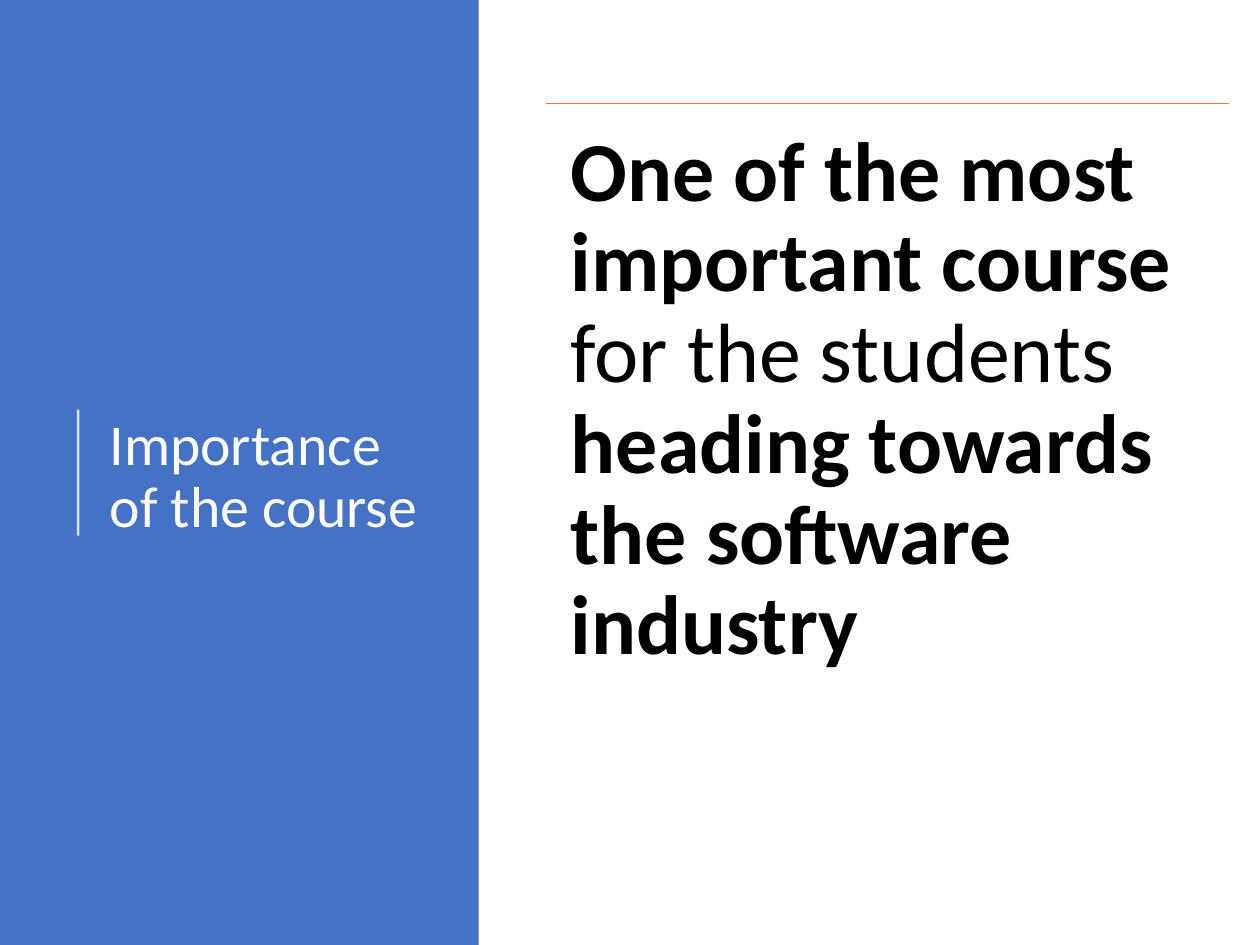
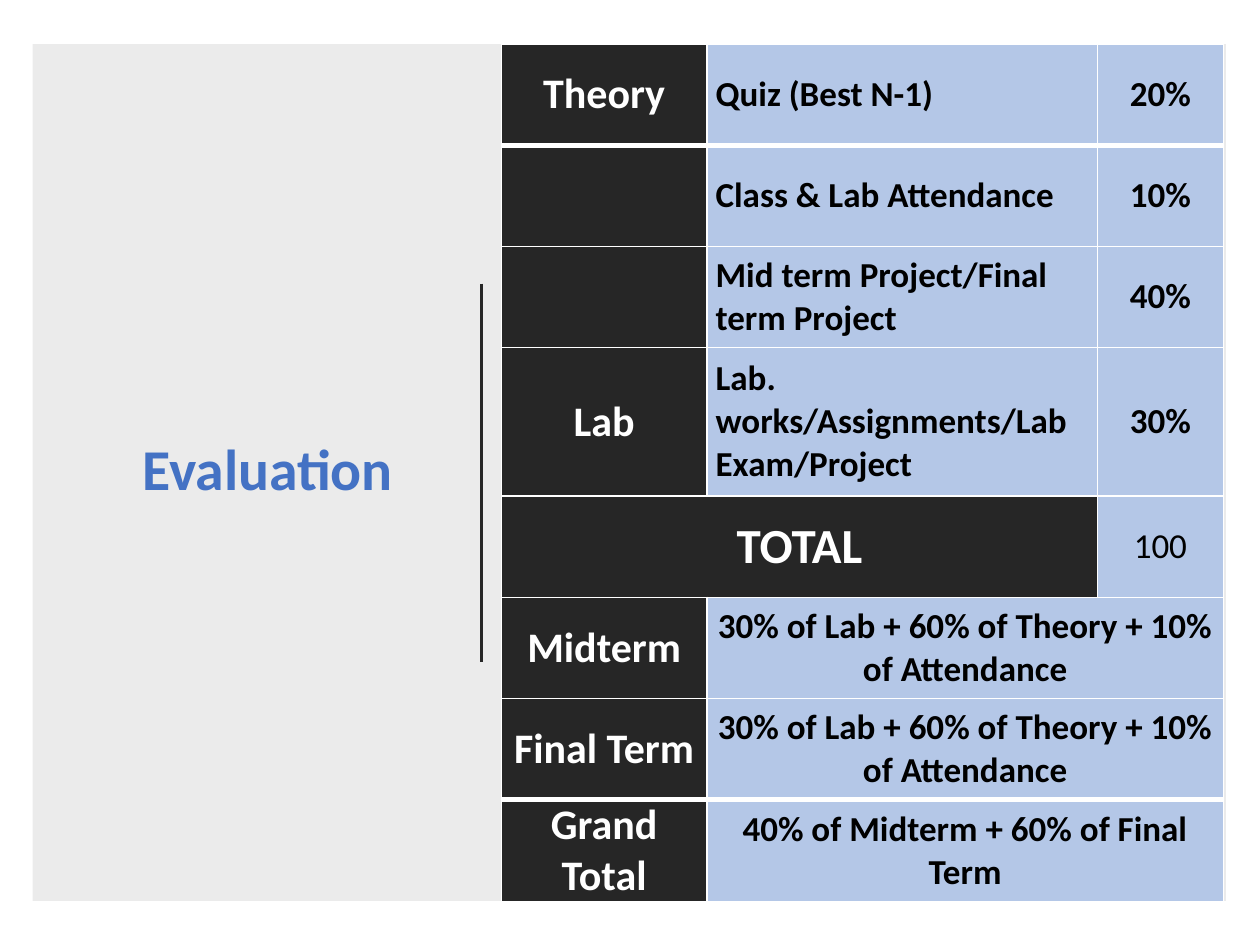
from dataclasses import dataclass
from typing import NamedTuple

from lxml.etree import SubElement
from pptx import Presentation
from pptx.dml.color import RGBColor
from pptx.enum.shapes import MSO_CONNECTOR, MSO_SHAPE
from pptx.enum.text import MSO_ANCHOR as Anchor, MSO_AUTO_SIZE as AutoSize, PP_ALIGN as Align
from pptx.oxml import parse_xml
from pptx.oxml.ns import nsdecls, qn
from pptx.util import Inches, Pt

FONT = "Calibri"
WHITE, BLACK, BLUE, ORANGE = "FFFFFF", "000000", "4472C4", "ED7D31"
CHARCOAL, PALE_BLUE = "262626", "B4C7E7"
WIDTH, HEIGHT = Inches(10), Inches(7.5)
COLUMN, ROW = WIDTH / 100, HEIGHT / 75
LINE_SPACING = 0.9


class Frame(NamedTuple):
    """A rectangle in grid columns and rows."""
    left: float
    top: float
    width: float
    height: float

    def lengths(self) -> list[int]:
        return [round(value * unit) for value, unit in zip(self, (COLUMN, ROW) * 2)]


@dataclass
class Style:
    size: float
    colour: str = BLACK
    bold: bool = False
    align: Align = Align.LEFT


@dataclass
class Rule:
    start: tuple[float, float]
    end: tuple[float, float]
    colour: str
    weight: float
    opacity: int = 100


class Entry(NamedTuple):
    """A table cell's text and style, and how many columns it covers."""
    text: str
    style: Style
    fill: str = PALE_BLUE
    span: int = 1


def colour(code: str) -> RGBColor:
    return RGBColor.from_string(code)


def set_all(target, values: dict) -> None:
    for name, value in values.items():
        setattr(target, name, value)


def set_opacity(shape, percent: int) -> None:
    tint = next(shape.element.spPr.iter(qn("a:srgbClr")))
    SubElement(tint, qn("a:alpha")).set("val", str(percent * 1000))


def add_span(para, text: str, style: Style) -> None:
    span = para.add_run()
    span.text = text
    set_all(span.font, {"name": FONT, "size": Pt(style.size), "bold": style.bold})
    span.font.color.rgb = colour(style.colour)


def add_panel(page, frame: Frame, fill: str, opacity: int = 100) -> None:
    panel = page.shapes.add_shape(MSO_SHAPE.RECTANGLE, *frame.lengths())
    panel.shadow.inherit = False
    panel.fill.solid()
    panel.fill.fore_color.rgb = colour(fill)
    panel.line.fill.background()
    if opacity < 100:
        set_opacity(panel, opacity)


def add_rule(page, rule: Rule) -> None:
    ends = Frame(*rule.start, *rule.end).lengths()
    line = page.shapes.add_connector(MSO_CONNECTOR.STRAIGHT, *ends)
    line.line.width = Pt(rule.weight)
    line.line.color.rgb = colour(rule.colour)
    if rule.opacity < 100:
        set_opacity(line, rule.opacity)
    SubElement(line.element.spPr, qn("a:effectLst"))


def place_title(page, text: str, frame: Frame, style: Style) -> None:
    """Format the title placeholder and bring it in front of the panel."""
    title = page.shapes.title
    set_all(title, dict(zip(("left", "top", "width", "height"), frame.lengths())))
    set_all(title.text_frame, {"word_wrap": True, "auto_size": AutoSize.NONE,
                               "vertical_anchor": Anchor.MIDDLE})
    para = title.text_frame.paragraphs[0]
    set_all(para, {"alignment": style.align, "line_spacing": LINE_SPACING})
    add_span(para, text, style)
    title.element.getparent().append(title.element)


def add_statement(page, frame: Frame, spans: list[tuple[str, Style]]) -> None:
    box = page.shapes.add_textbox(*frame.lengths()).text_frame
    margins = ("margin_left", "margin_top", "margin_right", "margin_bottom")
    set_all(box, {"word_wrap": True, **dict.fromkeys(margins, Inches(0.2))})
    para = box.paragraphs[0]
    para.line_spacing = LINE_SPACING
    for text, style in spans:
        add_span(para, text, style)


def set_borders(cell, top: float, bottom: float) -> None:
    """Draw white cell borders; top and bottom weights are in points."""
    properties = cell._tc.get_or_add_tcPr()
    weights = {"lnL": 1, "lnR": 1, "lnT": top, "lnB": bottom}
    for position, (side, weight) in enumerate(weights.items()):
        properties.insert(position, parse_xml(
            f'<a:{side} {nsdecls("a")} w="{Pt(weight)}"><a:solidFill>'
            f'<a:srgbClr val="{WHITE}"/></a:solidFill></a:{side}>'))


def fill_cell(cell, entry: Entry) -> None:
    set_all(cell, {"vertical_anchor": Anchor.MIDDLE, "margin_top": 0, "margin_bottom": 0,
                   "margin_left": Inches(0.07), "margin_right": Inches(0.07)})
    if entry.text:
        para = cell.text_frame.paragraphs[0]
        para.alignment = entry.style.align
        add_span(para, entry.text, entry.style)


def add_entry_table(page, frame: Frame, widths: list[float], heights: list[float],
                    entries: list[list[Entry]], heavy_rules: set[int]) -> None:
    """Draw the table; heavy_rules numbers the row boundaries that are thicker."""
    table = page.shapes.add_table(len(heights), len(widths), *frame.lengths()).table
    set_all(table, {"first_row": False, "horz_banding": False})
    for column, width in zip(table.columns, widths):
        column.width = round(width * COLUMN)
    for row, height in zip(table.rows, heights):
        row.height = round(height * ROW)
    for y, line in enumerate(entries):
        top, bottom = (3 if edge in heavy_rules else 1 for edge in (y, y + 1))
        x = 0
        for entry in line:
            for covered in range(x, x + entry.span):
                cell = table.cell(y, covered)
                cell.fill.solid()
                cell.fill.fore_color.rgb = colour(entry.fill)
                set_borders(cell, top, bottom)
            first = table.cell(y, x)
            if entry.span > 1:
                first.merge(table.cell(y, x + entry.span - 1))
            fill_cell(first, entry)
            x += entry.span


def build_importance(page) -> None:
    strong, plain = Style(48, bold=True), Style(48)
    add_panel(page, Frame(0, 0, 38, 75), BLUE)
    add_rule(page, Rule((6.2, 42.5), (6.2, 32.5), WHITE, 1.5, 80))
    place_title(page, "Importance of the course", Frame(7.7, 7.8, 27.6, 60.2),
                Style(33, WHITE))
    add_rule(page, Rule((43.3, 8.2), (97.5, 8.2), ORANGE, 0.5))
    add_statement(page, Frame(43.3, 8.2, 54.2, 60.9), [
        ("One of the most important course ", strong),
        ("for the students", plain),
        (" heading towards the software industry", strong),
    ])


def build_evaluation(page) -> None:
    heading = Style(24, WHITE, True, Align.CENTER)
    total = Style(28, WHITE, True, Align.CENTER)
    task = Style(20, bold=True)
    share = Style(20, bold=True, align=Align.CENTER)
    plain_share = Style(20, align=Align.CENTER)
    theory_mix = "30% of Lab + 60% of Theory + 10% of Attendance"

    marks = [
        [Entry(part, heading, CHARCOAL), Entry(work, task), Entry(percent, share)]
        for part, work, percent in (
            ("Theory", "Quiz (Best N-1)", "20%"),
            ("", "Class & Lab Attendance", "10%"),
            ("", "Mid term Project/Final term Project", "40%"),
            ("Lab", "Lab. works/Assignments/Lab Exam/Project", "30%"),
        )]
    sum_row = [Entry("TOTAL", total, CHARCOAL, 2), Entry("100", plain_share)]
    terms = [
        [Entry(term, heading, CHARCOAL), Entry(mix, share, span=2)]
        for term, mix in (
            ("Midterm", theory_mix),
            ("Final Term", theory_mix),
            ("Grand Total", "40% of Midterm + 60% of Final Term"),
        )]
    entries = [*marks, sum_row, *terms]

    top, height, lab_height = 3.5, 68, 11.8
    heights = [(height - lab_height) / (len(entries) - 1)] * len(entries)
    heights[3] = lab_height

    add_panel(page, Frame(2.6, top, 94.7, height), BLACK, 8)
    add_rule(page, Rule((38.2, 22.5), (38.2, 52.5), CHARCOAL, 1.5))
    place_title(page, "Evaluation", Frame(6.9, 10.5, 28.7, 53.9),
                Style(33, BLUE, True, Align.CENTER))
    add_entry_table(page, Frame(39.8, top, 57.3, height), [16.3, 31, 10], heights,
                    entries, {1, len(entries) - 1})


def main() -> None:
    deck = Presentation()
    set_all(deck, {"slide_width": WIDTH, "slide_height": HEIGHT})
    title_only = deck.slide_layouts[5]
    for build in (build_importance, build_evaluation):
        build(deck.slides.add_slide(title_only))
    deck.save("out.pptx")


if __name__ == "__main__":
    main()
